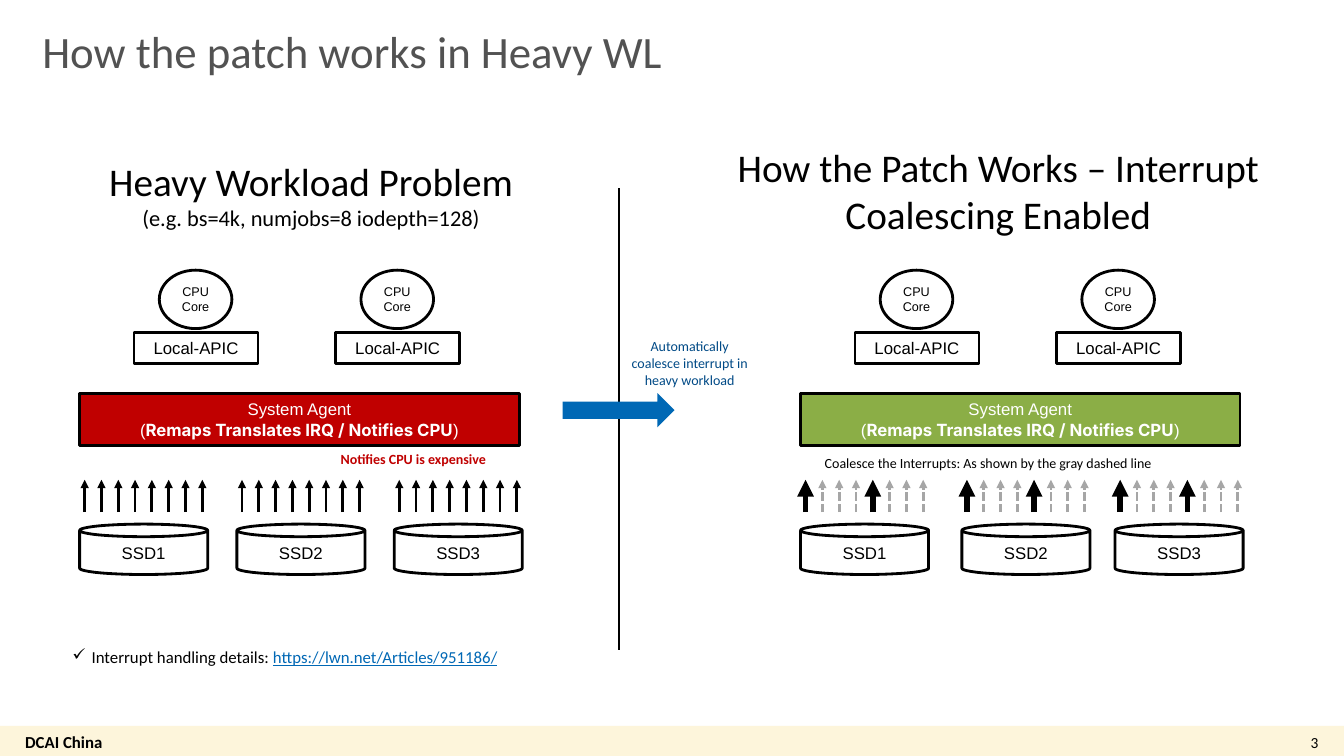
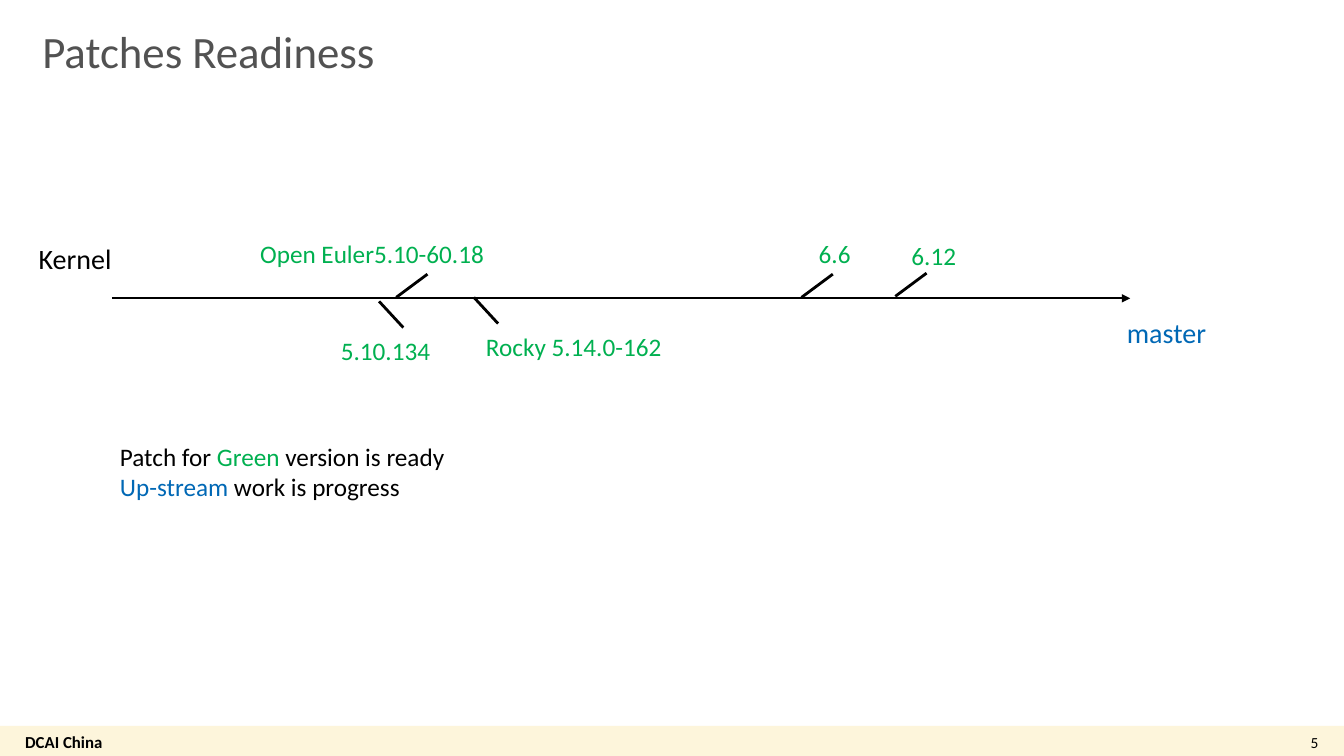
import lxml.etree
import pptx
import pptx.dml.color
import pptx.enum.dml
import pptx.enum.shapes
import pptx.enum.text
import pptx.oxml.ns
import pptx.util

SHAPE = pptx.enum.shapes.MSO_SHAPE
LEFT, CENTER = pptx.enum.text.PP_ALIGN.LEFT, pptx.enum.text.PP_ALIGN.CENTER
qn = pptx.oxml.ns.qn
inch = pptx.util.Inches

COLORS = {
    "black": "000000", "white": "FFFFFF", "title": "525252", "band": "FDF5DB",
    "red": "C00000", "olive": "8BAE46", "gray": "A6A6A6",
    "blue": "0068B5", "navy": "004A86", "green": "00B050",
}
WIDTH, HEIGHT = 13.33, 7.5

# Content: a paragraph is a list of runs, a run is (text, style changes)
FOOTER = "DCAI China"
HEAVY = {"title": "How the patch works in Heavy WL", "number": 3}
READY = {"title": "Patches Readiness", "number": 5}

AGENT = [
    [("System Agent", {})],
    [("(", {}), ("Remaps Translates IRQ / Notifies CPU", {"font": "Inter", "bold": True}),
     (")", {})],
]
PANELS = [
    {"left": 0.79, "agent": "red", "ssd_offsets": (0, 1.56, 3.12), "coalesced": False},
    {"left": 7.94, "agent": "olive", "ssd_offsets": (0, 1.6, 3.12), "coalesced": True},
]
CORE_OFFSETS = (0.54, 2.54)
IRQS_PER_SSD, IRQS_PER_NOTICE = 8, 4

# (left, top, width, height), paragraphs, base style, alignment
HEAVY_TEXTS = [
    ((0.71, 1.51, 4.75, 0.84),
     [[("Heavy Workload Problem", {"size": 28})],
      [("(e.g. bs=4k, numjobs=8 iodepth=128)", {})]], {"size": 16}, CENTER),
    ((7.14, 1.37, 5.52, 1.04),
     [[("How the Patch Works – Interrupt Coalescing Enabled", {})]], {"size": 28}, CENTER),
    ((7.87, 4.46, 3.86, 0.27),
     [[("Coalesce the Interrupts: As shown by the gray dashed line", {})]],
     {"size": 10}, CENTER),
    ((3.28, 4.42, 1.96, 0.27), [[("Notifies CPU is expensive", {})]],
     {"size": 10, "color": "red", "bold": True}, LEFT),
    ((6.13, 3.3, 1.42, 0.61),
     [[("Automatically", {})], [("coalesce interrupt in heavy workload", {})]],
     {"size": 10, "color": "navy"}, CENTER),
]
DETAILS = [[("Interrupt handling details: ", {}),
            ("https://lwn.net/Articles/951186/", {"color": "blue", "underline": True})]]

AXIS_Y = 2.96
# version, label left, top, width, tick start x, y, tick goes up
VERSIONS = [
    ("5.10.134", 3.38, 3.33, 1.01, 3.76, 2.99, False),
    ("Open Euler5.10-60.18", 2.58, 2.36, 3.02, 3.93, 2.95, True),
    ("Rocky 5.14.0-162", 4.82, 3.29, 2.01, 4.7, 2.95, False),
    ("6.6", 8.12, 2.36, 0.36, 7.95, 2.95, True),
    ("6.12", 9.04, 2.38, 0.51, 8.88, 2.94, True),
]
TICK_UP, TICK_DOWN = (0.31, -0.23), (0.24, 0.26)
AXIS_ENDS = [
    ("Kernel", (0.23, 2.35, 1.03, 0.44), "black"),
    ("master", (11.03, 3.08, 1.08, 0.44), "blue"),
]
LEGEND = [
    [("Patch for ", {}), ("Green", {"color": "green"}), (" version is ready", {})],
    [("Up-stream", {"color": "blue"}), (" work is progress", {})],
]


# Helpers
def rgb(color):
    return pptx.dml.color.RGBColor.from_string(COLORS[color])


def write(frame, paragraphs, style, align=LEFT, inset=None, bullet=None, spacing=None):
    frame.word_wrap = True
    if inset is not None:
        frame.margin_left = frame.margin_right = inch(inset)
        frame.margin_top = frame.margin_bottom = inch(inset)
    for index, runs in enumerate(paragraphs):
        paragraph = frame.add_paragraph() if index else frame.paragraphs[0]
        paragraph.alignment = align
        if spacing:
            paragraph.line_spacing = spacing
        if bullet:
            props = paragraph._p.get_or_add_pPr()
            props.set("marL", str(inch(0.19)))
            props.set("indent", str(-inch(0.19)))
            lxml.etree.SubElement(props, qn("a:buChar"), char=bullet)
        for text, changes in runs:
            look = {"font": "Calibri", "color": "black", **style, **changes}
            run = paragraph.add_run()
            run.text = text
            run.font.name = look["font"]
            run.font.size = pptx.util.Pt(look["size"])
            run.font.color.rgb = rgb(look["color"])
            run.font.bold = look.get("bold", False)
            run.font.underline = look.get("underline", False)


def add_text(slide, box, paragraphs, style, align=LEFT, **options):
    frame = slide.shapes.add_textbox(*map(inch, box)).text_frame
    write(frame, paragraphs, style, align, **options)


def add_block(slide, kind, box, fill, outlined=True):
    block = slide.shapes.add_shape(kind, *map(inch, box))
    block.shadow.inherit = False
    block.fill.solid()
    block.fill.fore_color.rgb = rgb(fill)
    if outlined:
        block.line.color.rgb = rgb("black")
        block.line.width = pptx.util.Pt(2)
    else:
        block.line.fill.background()
    block.text_frame.vertical_anchor = pptx.enum.text.MSO_ANCHOR.MIDDLE
    return block


def add_node(slide, kind, box, paragraphs, fill="white", color="black", size=12):
    node = add_block(slide, kind, box, fill)
    style = {"font": "Arial", "size": size, "color": color}
    write(node.text_frame, paragraphs, style, CENTER, inset=0.06)


def add_line(slide, start, end, color="black", width=2, dashed=False, arrow=False):
    line = slide.shapes.add_connector(
        pptx.enum.shapes.MSO_CONNECTOR.STRAIGHT, *map(inch, (*start, *end)))
    line.line.color.rgb = rgb(color)
    line.line.width = pptx.util.Pt(width)
    if dashed:
        line.line.dash_style = pptx.enum.dml.MSO_LINE.SQUARE_DOT
    if arrow:
        lxml.etree.SubElement(line.line._get_or_add_ln(), qn("a:tailEnd"), type="triangle")
    lxml.etree.SubElement(line._element.spPr, qn("a:effectLst"))


def start_slide(deck, content):
    slide = deck.slides.add_slide(deck.slide_layouts[6])
    band = add_block(slide, SHAPE.RECTANGLE, (0, 7.2, WIDTH, 0.31), "band", outlined=False)
    write(band.text_frame, [[(FOOTER, {})]], {"size": 12, "bold": True}, inset=0.06)
    band.text_frame.margin_left = inch(0.25)
    add_text(slide, (13, 7.27, 0.19, 0.19), [[(str(content["number"]), {})]],
             {"size": 11}, inset=0)
    add_text(slide, (0.42, 0.3, 12, 0.7), [[(content["title"], {})]],
             {"size": 32, "color": "title"}, inset=0, spacing=0.9)
    return slide


# Workload slide
def draw_panel(slide, panel):
    left = panel["left"]
    add_node(slide, SHAPE.RECTANGLE, (left, 3.9, 4.36, 0.52), AGENT,
             fill=panel["agent"], color="white")
    for offset in CORE_OFFSETS:
        apic_left = left + offset
        add_node(slide, SHAPE.FLOWCHART_CONNECTOR, (apic_left + 0.25, 2.68, 0.72, 0.58),
                 [[("CPU Core", {})]], size=9)
        add_node(slide, SHAPE.RECTANGLE, (apic_left, 3.3, 1.23, 0.31),
                 [[("Local-APIC", {})]])
    for number, offset in enumerate(panel["ssd_offsets"], 1):
        ssd_left = left + offset
        add_node(slide, SHAPE.CAN, (ssd_left, 5.2, 1.27, 0.5), [[(f"SSD{number}", {})]])
        for irq in range(IRQS_PER_SSD):
            x = ssd_left + 0.05 + irq / 6
            look = {}
            if panel["coalesced"]:
                merged = irq % IRQS_PER_NOTICE > 0
                look = {"color": "gray", "dashed": True} if merged else {"width": 4}
            add_line(slide, (x, 5.08), (x, 4.76), arrow=True, **look)


def draw_heavy(deck):
    slide = start_slide(deck, HEAVY)
    for panel in PANELS:
        draw_panel(slide, panel)
    add_line(slide, (6.14, 1.87), (6.14, 6.45))
    add_block(slide, SHAPE.RIGHT_ARROW, (5.58, 3.9, 1.11, 0.34), "blue", outlined=False)
    for box, paragraphs, style, align in HEAVY_TEXTS:
        add_text(slide, box, paragraphs, style, align)
    add_text(slide, (0.62, 6.37, 5.11, 0.3), DETAILS, {"size": 12}, bullet="✓")


# Readiness slide
def draw_ready(deck):
    slide = start_slide(deck, READY)
    add_line(slide, (1.11, AXIS_Y), (11.21, AXIS_Y), width=1.5, arrow=True)
    for version, left, top, width, x, y, up in VERSIONS:
        dx, dy = TICK_UP if up else TICK_DOWN
        add_line(slide, (x, y), (x + dx, y + dy))
        add_text(slide, (left, top, width, 0.3), [[(version, {})]],
                 {"size": 18, "color": "green"}, inset=0)
    for label, box, color in AXIS_ENDS:
        add_text(slide, box, [[(label, {})]], {"size": 20, "color": color}, CENTER)
    add_text(slide, (1.19, 4.38, 3.63, 0.61), LEGEND, {"size": 18}, inset=0)


def main():
    deck = pptx.Presentation()
    deck.slide_width, deck.slide_height = inch(WIDTH), inch(HEIGHT)
    draw_heavy(deck)
    draw_ready(deck)
    deck.save("out.pptx")


if __name__ == "__main__":
    main()
